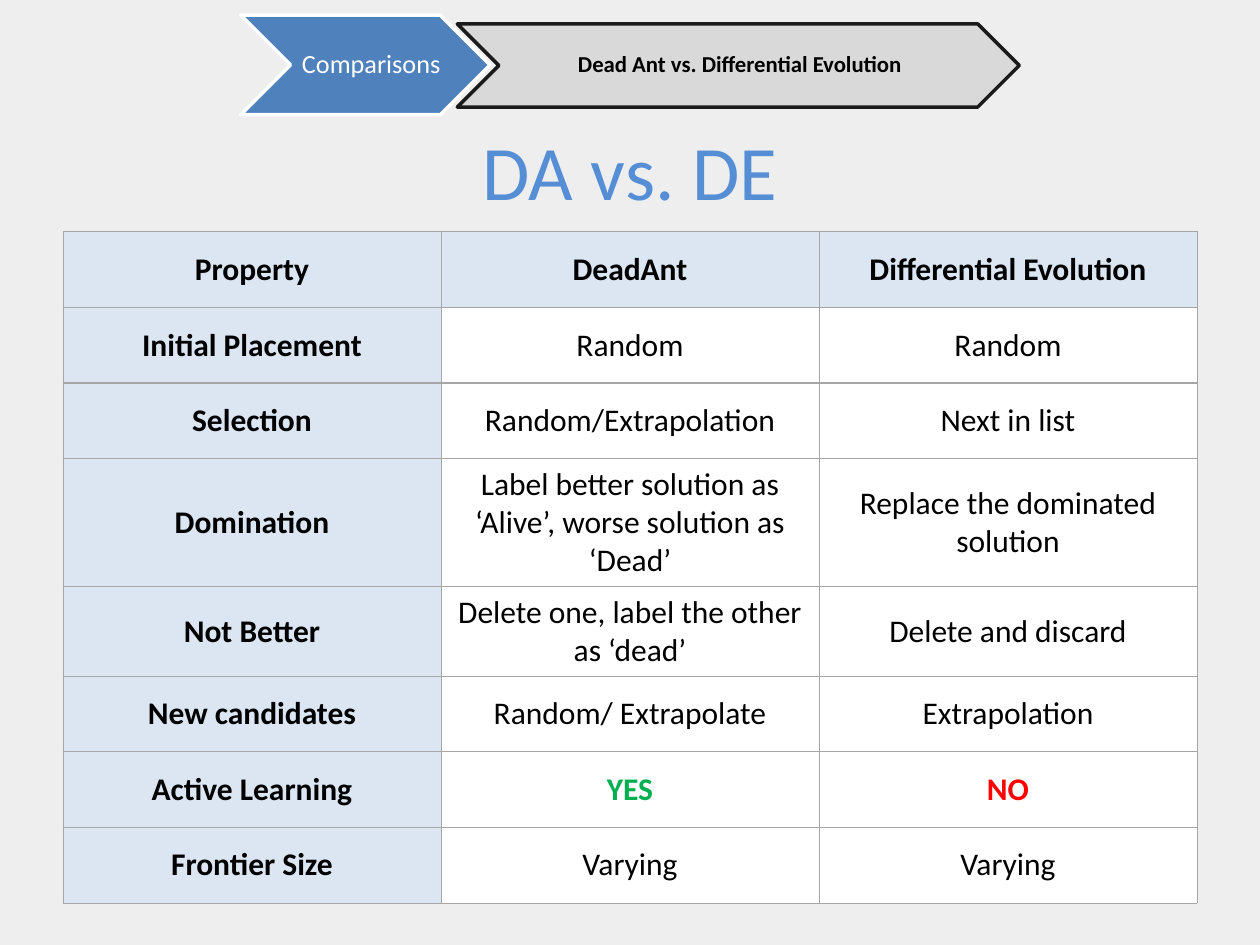
from lxml.etree import SubElement
from pptx import Presentation
from pptx.dml.color import RGBColor
from pptx.enum.shapes import MSO_SHAPE
from pptx.enum.text import MSO_ANCHOR, PP_ALIGN
from pptx.oxml.ns import qn
from pptx.util import Inches, Pt

FONT = "Calibri"
COLORS = {
    "background": "EEEEEE",
    "title": "558ED5",
    "header": "DCE6F2",
    "white": "FFFFFF",
    "border": "A6A6A6",
    "text": "000000",
    "YES": "00B050",
    "NO": "FF0000",
    "section": "4F81BD",
    "topic": "D9D9D9",
    "outline": "1A1A1A",
}
ROWS = [
    ("Property", "DeadAnt", "Differential Evolution"),
    ("Initial Placement", "Random", "Random"),
    ("Selection", "Random/Extrapolation", "Next in list"),
    ("Domination", "Label better solution as ‘Alive’, worse solution as ‘Dead’",
     "Replace the dominated solution"),
    ("Not Better", "Delete one, label the other as ‘dead’", "Delete and discard"),
    ("New candidates", "Random/ Extrapolate", "Extrapolation"),
    ("Active Learning", "YES", "NO"),
    ("Frontier Size", "Varying", "Varying"),
]


def color(name):
    return RGBColor.from_string(COLORS[name])


def write(text_frame, text, size, color_name, bold=False, align=PP_ALIGN.CENTER):
    text_frame.text = text
    text_frame.word_wrap = True
    text_frame.vertical_anchor = MSO_ANCHOR.MIDDLE
    paragraph = text_frame.paragraphs[0]
    paragraph.alignment = align
    font = paragraph.font
    font.name, font.size, font.bold = FONT, Pt(size), bold
    font.color.rgb = color(color_name)
    return paragraph


def add_title(slide, left, top, width, height):
    title = slide.shapes.title
    title.left, title.top = Inches(left), Inches(top)
    title.width, title.height = Inches(width), Inches(height)
    write(title.text_frame, "DA vs. DE", 44, "title")


def add_chevron(slide, left, top, width, height, fill, line, text, size,
                text_color, bold, align):
    group = slide.shapes.add_group_shape()
    chevron = group.shapes.add_shape(MSO_SHAPE.CHEVRON, Inches(left), Inches(top),
                                     Inches(width), Inches(height))
    chevron.shadow.inherit = False
    chevron.fill.solid()
    chevron.fill.fore_color.rgb = color(fill)
    chevron.line.color.rgb = color(line)
    chevron.line.width = Pt(2)
    notch = height / 2
    label = group.shapes.add_textbox(Inches(left + notch), Inches(top),
                                     Inches(width - 2 * notch), Inches(height))
    frame = label.text_frame
    frame.margin_left, frame.margin_right = Inches(0.02), 0
    frame.margin_top = frame.margin_bottom = Inches(0.01)
    paragraph = write(frame, text, size, text_color, bold, align)
    paragraph.line_spacing = 0.9


def add_breadcrumb(slide, left, top):
    add_chevron(slide, left, top, 1.98, 0.79, "section", "white",
                "Comparisons", 15, "white", False, PP_ALIGN.RIGHT)
    add_chevron(slide, left + 1.72, top + 0.07, 4.46, 0.66, "topic", "outline",
                "Dead Ant vs. Differential Evolution", 13, "text", True, PP_ALIGN.CENTER)


def set_borders(cell, top, bottom):
    properties = cell._tc.get_or_add_tcPr()
    widths = {"a:lnL": 0.5, "a:lnR": 0.5, "a:lnT": top, "a:lnB": bottom}
    for tag, width in widths.items():
        line = SubElement(properties, qn(tag), w=str(Pt(width)))
        fill = SubElement(line, qn("a:solidFill"))
        SubElement(fill, qn("a:srgbClr"), val=COLORS["border"])


def add_comparison(slide, left, top, width, row_height):
    table = slide.shapes.add_table(len(ROWS), len(ROWS[0]), Inches(left), Inches(top),
                                   Inches(width), Inches(row_height * len(ROWS))).table
    for row, texts in enumerate(ROWS):
        for column, text in enumerate(texts):
            cell = table.cell(row, column)
            is_header = row == 0 or column == 0
            is_verdict = text in ("YES", "NO")
            set_borders(cell, 1 if row in (1, 2) else 0.5, 1 if row in (0, 1) else 0.5)
            cell.fill.solid()
            cell.fill.fore_color.rgb = color("header" if is_header else "white")
            cell.vertical_anchor = MSO_ANCHOR.MIDDLE
            write(cell.text_frame, text, 18, text if is_verdict else "text",
                  is_header or is_verdict)


def main():
    presentation = Presentation()
    presentation.slide_width, presentation.slide_height = Inches(10), Inches(7.5)
    slide = presentation.slides.add_slide(presentation.slide_layouts[5])
    slide.background.fill.solid()
    slide.background.fill.fore_color.rgb = color("background")
    add_title(slide, 0.5, 0.72, 9, 1.25)
    add_comparison(slide, 0.5, 1.84, 9, 0.6)
    add_breadcrumb(slide, 1.91, 0.12)
    presentation.save("out.pptx")


if __name__ == "__main__":
    main()
